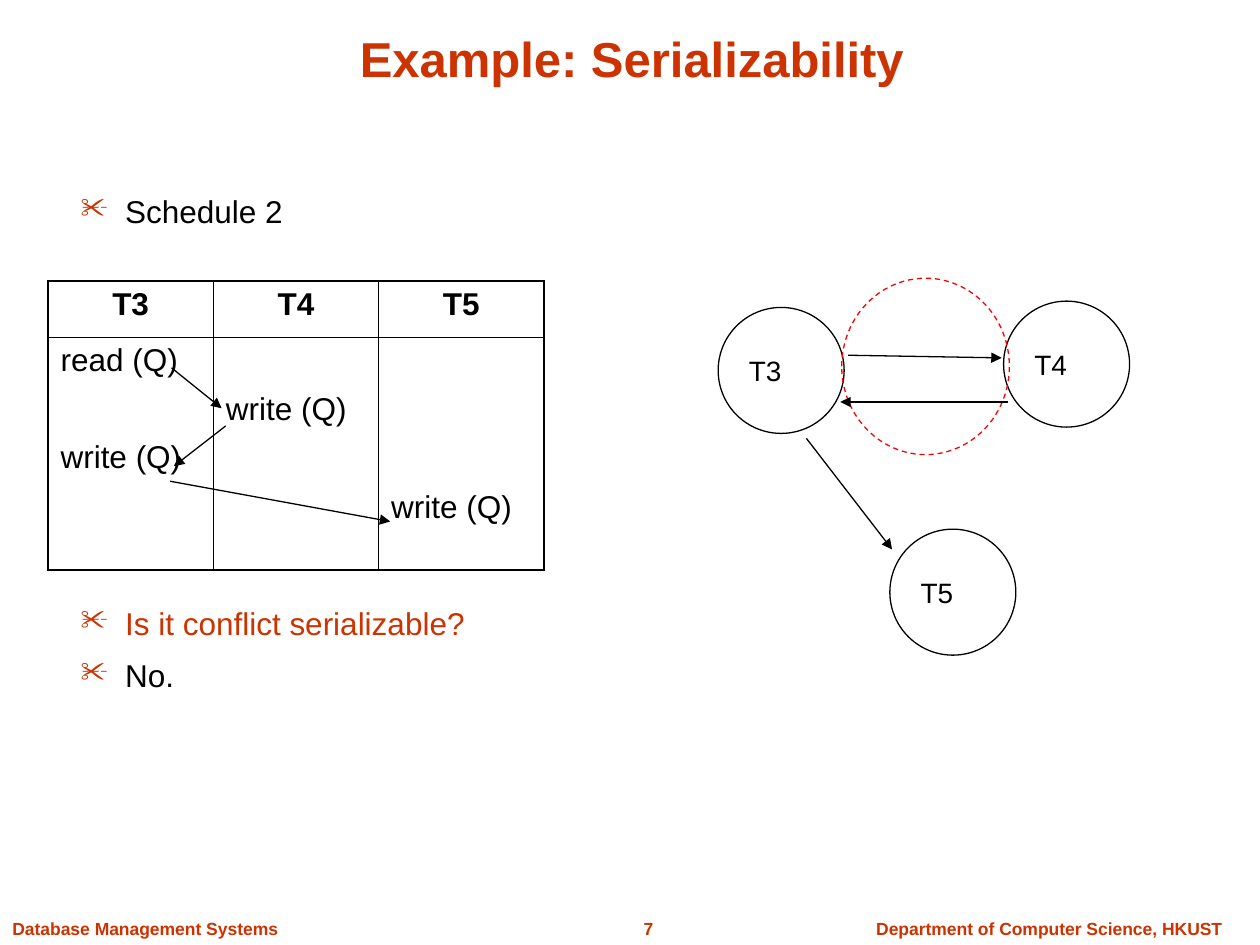
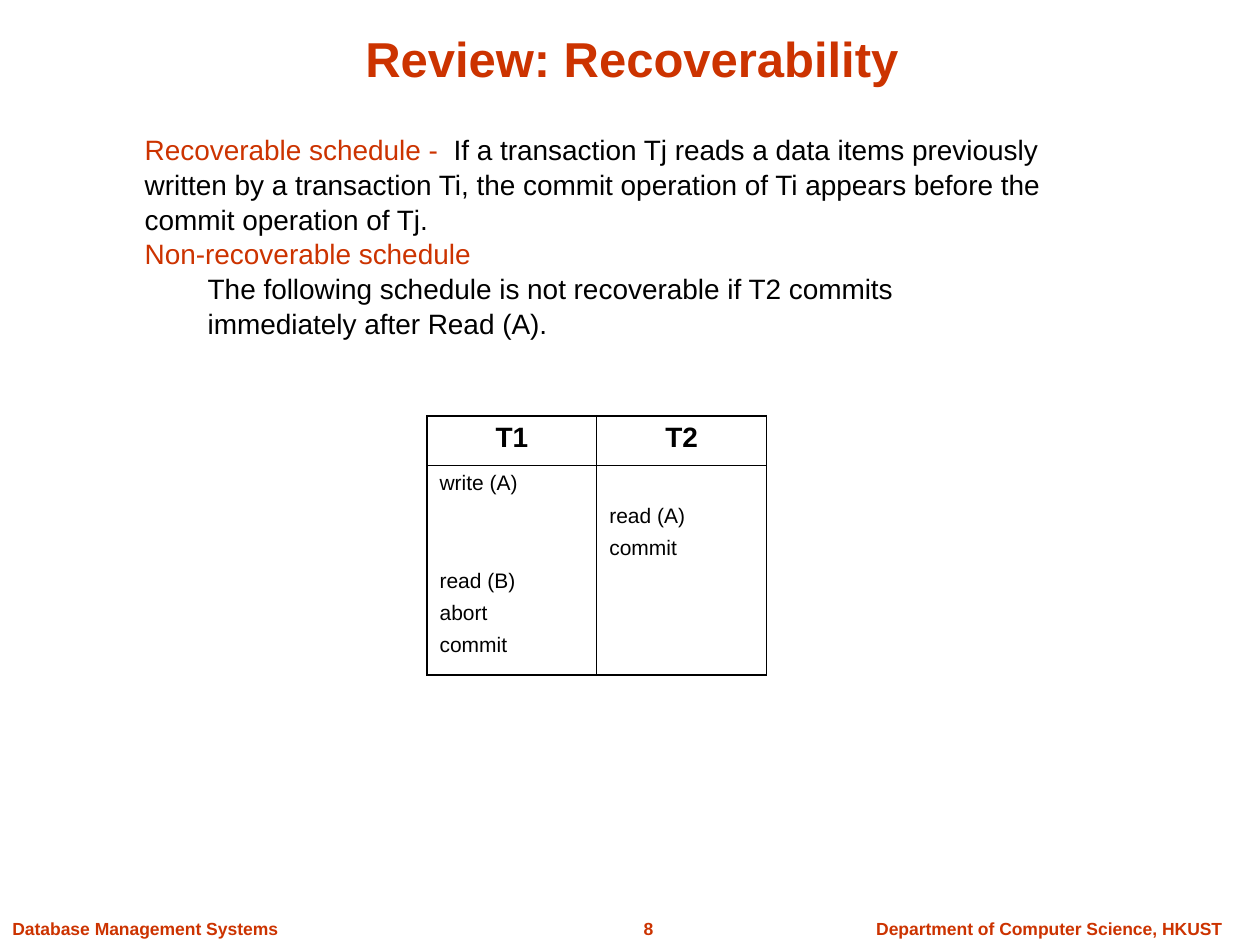
from lxml.etree import SubElement as Sub
from pptx import Presentation
from pptx.dml.color import RGBColor as RGB
from pptx.enum.dml import MSO_LINE as Dash
from pptx.enum.shapes import MSO_CONNECTOR as Conn, MSO_SHAPE as Kind
from pptx.enum.text import MSO_ANCHOR as Anchor, PP_ALIGN as Align
from pptx.oxml.ns import qn
from pptx.util import Pt

COLORS = {"rust": "CC3300", "ink": "000000", "paper": "FFFFFF", "alert": "FF0000"}
FONT = "Arial"
THICK, THIN = 1.08, 0.45


def write(para, text, size, color="ink", bold=False, align=Align.LEFT):
    """Add one run to a paragraph and align the paragraph."""
    para.alignment = align
    run = para.add_run()
    run.text = text
    font = run.font
    font.name, font.size, font.bold = FONT, Pt(size), bold
    font.color.rgb = RGB.from_string(COLORS[color])


def schedule(slide, left, top, width, heights, heads, steps, sizes, gap, pitch):
    """Draw a schedule; steps holds (line number, text) pairs for each column."""
    table = slide.shapes.add_table(2, len(heads), Pt(left), Pt(top),
                                   Pt(width * len(heads)), Pt(sum(heights))).table
    table.first_row = table.horz_banding = False
    for row, height in zip(table.rows, heights):
        row.height = Pt(height)
    for c, (head, ops) in enumerate(zip(heads, steps)):
        table.columns[c].width = Pt(width)
        for r in range(2):
            cell = table.cell(r, c)
            props = cell._tc.get_or_add_tcPr()
            edges = {"lnL": c == 0, "lnR": c == len(heads) - 1,
                     "lnT": r == 0, "lnB": r == 1}
            for tag, outer in edges.items():
                line = Sub(props, qn("a:" + tag), w=str(Pt(THICK if outer else THIN)))
                fill = Sub(line, qn("a:solidFill"))
                Sub(fill, qn("a:srgbClr"), val=COLORS["ink"])
            cell.fill.background()
        write(table.cell(0, c).text_frame.paragraphs[0], head, sizes[0],
              bold=True, align=Align.CENTER)
        cell = table.cell(1, c)
        frame = cell.text_frame
        cell.margin_top = Pt(3.6 + ops[0][0] * pitch)
        last = None
        for at, text in ops:
            para = frame.paragraphs[0] if last is None else frame.add_paragraph()
            if last is not None:
                para.space_before = Pt(gap + (at - last - 1) * pitch)
            write(para, text, sizes[1])
            last = at


deck = Presentation()
deck.slide_width, deck.slide_height = Pt(720), Pt(540)
slides = []

# Title and footers
for num, title in enumerate(["Example: Serializability", "Review: Recoverability"], 7):
    slide = deck.slides.add_slide(deck.slide_layouts[6])
    slides.append(slide)
    bands = [
        (43, 5, 636, 48.3, title, 28, Align.CENTER),
        (0, 521, 166, 19, "Database Management Systems", 10, Align.LEFT),
        (339, 521, 63, 19, str(num), 10, Align.CENTER),
        (479, 521, 241, 19, "Department of Computer Science, HKUST", 10, Align.CENTER),
    ]
    for left, top, width, height, text, size, align in bands:
        box = slide.shapes.add_textbox(Pt(left), Pt(top), Pt(width), Pt(height))
        frame = box.text_frame
        frame.word_wrap = True
        frame.vertical_anchor = Anchor.BOTTOM if text == title else Anchor.TOP
        write(frame.paragraphs[0], text, size, "rust", True, align)

# Serializability: bullets above and below the schedule
slide = slides[0]
frame = slide.shapes.add_textbox(Pt(31), Pt(78.5), Pt(303), Pt(384)).text_frame
frame.word_wrap = True
frame.margin_left, frame.margin_top = Pt(15), Pt(31)
bullets = [("Schedule 2", "ink", 0), ("Is it conflict serializable?", "rust", 214),
           ("No.", "ink", 7.9)]
for i, (text, color, before) in enumerate(bullets):
    para = frame.add_paragraph() if i else frame.paragraphs[0]
    if before:
        para.space_before = Pt(before)
    props = para._p.get_or_add_pPr()
    props.set("marL", str(Pt(25.5)))
    props.set("indent", str(-Pt(25.5)))
    Sub(Sub(props, qn("a:buClr")), qn("a:srgbClr"), val=COLORS["rust"])
    Sub(props, qn("a:buSzPct"), val="90000")
    Sub(props, qn("a:buChar"), char="✂")
    write(para, text, 18, color)

schedule(slide, 27.4, 160.6, 94.5, (32, 133), ["T3", "T4", "T5"],
         [[(0, "read (Q)"), (2, "write (Q)")], [(1, "write (Q)")], [(3, "write (Q)")]],
         (18, 18), 7.3, 28)

# Precedence graph, with the cycle ringed
nodes = [("T3", 410.4, 175.7, 72, 72), ("T4", 573.5, 172.1, 72, 72),
         ("T5", 508.5, 302.4, 72, 72), ("", 481, 159, 95.8, 100.8)]
for name, left, top, width, height in nodes:
    node = slide.shapes.add_shape(Kind.OVAL, Pt(left), Pt(top), Pt(width), Pt(height))
    node.shadow.inherit = False
    node.line.width = Pt(0.75)
    node.line.color.rgb = RGB.from_string(COLORS["ink" if name else "alert"])
    if name:
        node.fill.solid()
        node.fill.fore_color.rgb = RGB.from_string(COLORS["paper"])
        node.text_frame.vertical_anchor = Anchor.MIDDLE
        write(node.text_frame.paragraphs[0], name, 16)
    else:
        node.fill.background()
        node.line.dash_style = Dash.DASH

arrows = [
    (98, 210.2, 126.7, 233.3), (129, 243.4, 99.4, 266.4), (97.2, 275, 223, 298),
    (484.6, 203, 572.4, 204.5), (576, 229.7, 480.2, 229.7), (460.8, 250.5, 509.8, 314),
]
for ends in arrows:
    arrow = slide.shapes.add_connector(Conn.STRAIGHT, *map(Pt, ends))
    arrow.line.width = Pt(0.75)
    arrow.line.color.rgb = RGB.from_string(COLORS["ink"])
    Sub(arrow.line._get_or_add_ln(), qn("a:tailEnd"), type="triangle")
    Sub(arrow._element.spPr, qn("a:effectLst"))

# Recoverability: definitions and schedule
slide = slides[1]
frame = slide.shapes.add_textbox(Pt(75.6), Pt(71.3), Pt(531.4), Pt(122.4)).text_frame
frame.word_wrap = True
terms = [
    (0, [("Recoverable schedule -  ", "rust"),
         ("If a transaction Tj reads a data items previously written by a transaction Ti, "
          "the commit operation of Ti appears before the commit operation of Tj.", "ink")]),
    (0, [("Non-recoverable schedule", "rust")]),
    (36, [("The following schedule is not recoverable if T2 commits immediately "
           "after Read (A).", "ink")]),
]
for i, (indent, runs) in enumerate(terms):
    para = frame.add_paragraph() if i else frame.paragraphs[0]
    para.line_spacing = 1.04
    para._p.get_or_add_pPr().set("marL", str(Pt(indent)))
    for text, color in runs:
        write(para, text, 16, color)

schedule(slide, 244, 237.6, 97, (28.2, 119.8), ["T1", "T2"],
         [[(0, "write (A)"), (3, "read (B)"), (4, "abort"), (5, "commit")],
          [(1, "read (A)"), (2, "commit")]],
         (16, 12), 4.9, 18.7)

deck.save("out.pptx")
